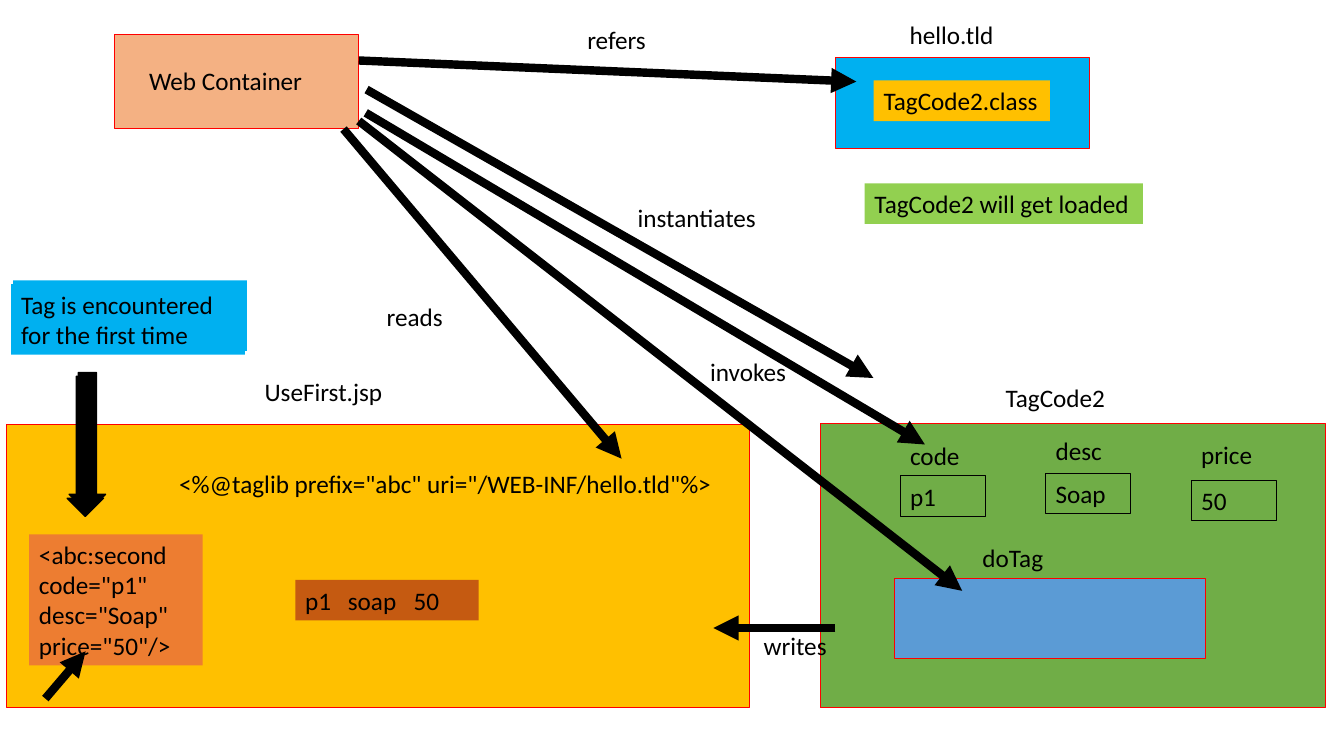
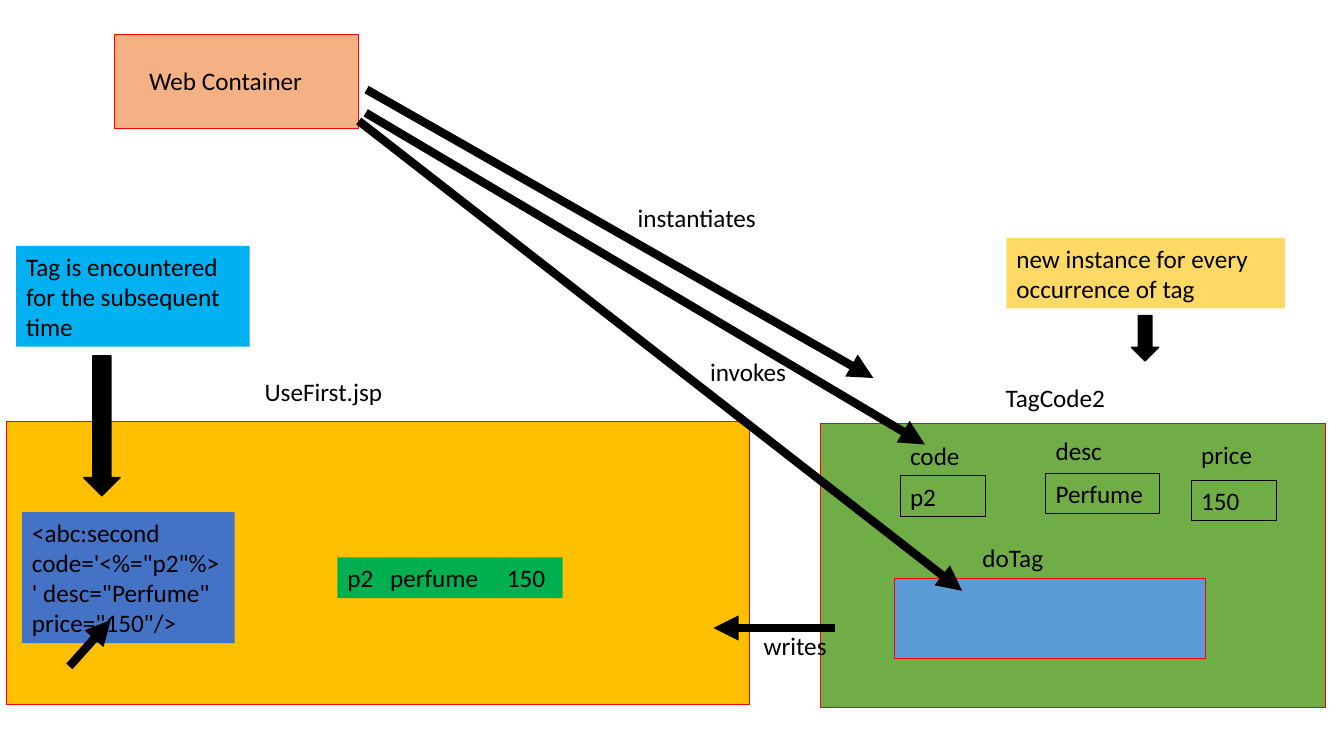
from lxml.etree import SubElement
from pptx import Presentation
from pptx.dml.color import RGBColor
from pptx.enum.shapes import MSO_CONNECTOR as CONN, MSO_SHAPE as SHAPE
from pptx.enum.text import MSO_ANCHOR as ANCHOR, PP_ALIGN as ALIGN
from pptx.oxml.ns import qn
from pptx.util import Pt

FONT = "Calibri"
BLACK, RED = "000000", "FF0000"
ORANGE, GREEN, BLUE, PEACH, SKY = "FFC000", "70AD47", "5B9BD5", "F4B183", "00B0F0"
LINE_H = 29


def color(value):
    return RGBColor.from_string(value)


def write(sp, text, size=18, fg=BLACK, tabs=()):
    tf = sp.text_frame
    tf.word_wrap = True
    tf.vertical_anchor = ANCHOR.TOP
    p = tf.paragraphs[0]
    p.alignment = ALIGN.LEFT
    if tabs:
        tab_list = SubElement(p._p.get_or_add_pPr(), qn("a:tabLst"))
        for pos in tabs:
            SubElement(tab_list, qn("a:tab"), pos=str(Pt(pos)), algn="l")
    r = p.add_run()
    r.text = text
    r.font.name, r.font.size = FONT, Pt(size)
    r.font.color.rgb = color(fg)


def label(s, x, y, w, text):
    write(s.shapes.add_textbox(Pt(x), Pt(y), Pt(w), Pt(LINE_H)), text)


def shape(s, box, fill=None, line=None, width=0.75, kind=SHAPE.RECTANGLE, text="", **fmt):
    sp = s.shapes.add_shape(kind, *map(Pt, box))
    sp.shadow.inherit = False
    if fill:
        sp.fill.solid()
        sp.fill.fore_color.rgb = color(fill)
    else:
        sp.fill.background()
    if line:
        sp.line.color.rgb = color(line)
        sp.line.width = Pt(width)
    else:
        sp.line.fill.background()
    if text:
        write(sp, text, **fmt)


def down_arrow(s, box):
    shape(s, box, BLACK, BLACK, width=1, kind=SHAPE.DOWN_ARROW)


def arrow(s, start, end):
    c = s.shapes.add_connector(CONN.STRAIGHT, *map(Pt, start + end))
    c.line.color.rgb = color(BLACK)
    c.line.width = Pt(6)
    SubElement(c.line._get_or_add_ln(), qn("a:tailEnd"), type="triangle")
    SubElement(c._element.spPr, qn("a:effectLst"))


def container(s, box):
    x, y, w, h = box
    shape(s, box, PEACH, RED)
    label(s, x + 17.4, y + 18.2, 140, "Web Container")


def tag_class(s, box, values, desc_w):
    x, y, w, h = box
    shape(s, box, GREEN, RED)
    shape(s, (x + 53.3, y + 110.9, 222, 57), BLUE, RED)
    label(s, x + 108.7, y + 81.4, 110, "doTag")
    label(s, x + 125.3, y - 33.1, 97, "TagCode2")
    fields = zip(("code", "desc", "price"), values, (8.6, 5, 7.9),
                 (37.4, 35.3, 40.3), (61, desc_w, 61))
    for i, (name, value, name_y, value_y, value_w) in enumerate(fields):
        left = x + 57 + 104 * i
        label(s, left, y + name_y, 60, name)
        shape(s, (left, y + value_y, value_w, LINE_H), line=BLACK, text=value)


def jsp_page(s, box, tag, tag_box, tag_fill, output, out_box, out_fill, tabs, pointer):
    x, y, w, h = box

    def inside(dx, dy, *size):
        return (x + dx, y + dy) + size

    shape(s, box, ORANGE, RED)
    shape(s, inside(*out_box), out_fill, text=output, tabs=tabs)
    shape(s, inside(*tag_box), tag_fill, text=tag)
    arrow(s, *(inside(*point) for point in pointer))


def tld_file(s, box):
    x, y, w, h = box
    shape(s, box, SKY, RED)
    label(s, x + 46, y - 31, 88, "hello.tld")
    shape(s, (x + 27.4, y + 16.5, 126, LINE_H), ORANGE, text="TagCode2.class")
    shape(s, (x + 20.9, y + 90, 199, LINE_H), "92D050", text="TagCode2 will get loaded")


def tag_note(s, box, text, arrow_dx, gap):
    x, y, w, h = box
    shape(s, box, SKY, text=text)
    down_arrow(s, (x + arrow_dx, y + h + gap, 26, 100))


def instance_note(s, box):
    x, y, w, h = box
    shape(s, box, "FFD966", text="new instance for every occurrence of tag")
    down_arrow(s, (x + 89.3, y + h + 5, 19.5, 32.4))


def tag_slide(prs, values, desc_w, page):
    s = prs.slides.add_slide(prs.slide_layouts[6])
    tag_class(s, (586.3, 302.6, 361, 203), values, desc_w)
    container(s, (82, 25, 174.4, 67))
    jsp_page(s, **page)
    label(s, 182, 265, 105, "UseFirst.jsp")
    for start, end in (((262, 64), (624.2, 270)),
                       ((256.4, 86.4), (687.6, 422)),
                       ((261.4, 80.6), (661, 317.5)),
                       ((597, 448.6), (509.8, 448.6))):
        arrow(s, start, end)
    label(s, 448.6, 141, 104, "instantiates")
    label(s, 500.4, 251.3, 81, "invokes")
    label(s, 538.6, 447, 73, "writes")
    return s


def first_time(prs):
    s = tag_slide(prs, ("p1", "Soap", "50"), 61, dict(
        box=(5, 303.2, 531, 202),
        tag='<abc:second code="p1" desc="Soap" price="50"/>',
        tag_box=(15.8, 78.5, 124, 93.6), tag_fill="ED7D31",
        output="p1\tsoap\t50", out_box=(206, 111, 131, LINE_H), out_fill="C55A11",
        tabs=(30.5, 77.5), pointer=((27.4, 195.8), (56.2, 162))))
    label(s, 121, 331.2, 418, '<%@taglib prefix="abc" uri="/WEB-INF/hello.tld"%>')
    tld_file(s, (597, 41, 181.4, 65))
    arrow(s, (256.4, 43.2), (612, 58.3))
    label(s, 412.6, 13.7, 87, "refers")
    arrow(s, (245.5, 92.2), (444.2, 327.6))
    label(s, 269.3, 211.7, 80, "reads")
    note = "Tag is encountered for the first time"
    for x, y, text in ((9.4, 200.2, ""), (8, 203, note)):
        tag_note(s, (x, y, 167, 50.4), text, arrow_dx=40, gap=15.5)


def subsequent_time(prs):
    s = tag_slide(prs, ("p2", "Perfume", "150"), 81.4, dict(
        box=(5, 301, 531, 202),
        tag="<abc:second code='<%=\"p2\"%>' desc=\"Perfume\" price=\"150\"/>",
        tag_box=(10.8, 64.8, 152, 93.6), tag_fill="4472C4",
        output="p2\tperfume\t150", out_box=(236.2, 97.2, 161, LINE_H), out_fill="00B050",
        tabs=(30.5, 114), pointer=((44.6, 175), (74.2, 141.8))))
    instance_note(s, (719.3, 170, 199, 50.4))
    tag_note(s, (11.5, 175.7, 167, 72), "Tag is encountered for the subsequent time",
             arrow_dx=48.3, gap=6.5)


def main():
    prs = Presentation()
    prs.slide_width, prs.slide_height = Pt(960.48), Pt(540)
    first_time(prs)
    subsequent_time(prs)
    prs.save("out.pptx")


if __name__ == "__main__":
    main()
